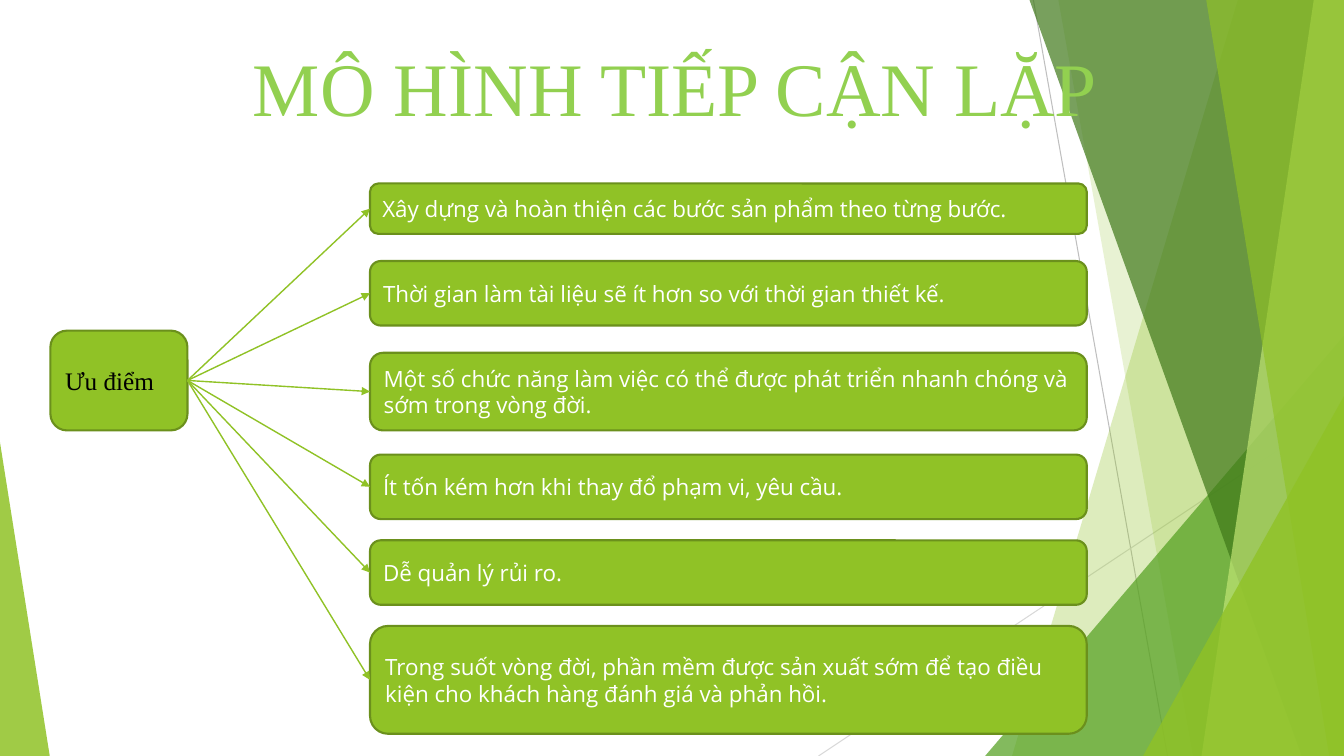
from lxml import etree
from pptx import Presentation
from pptx.dml.color import RGBColor
from pptx.enum.shapes import MSO_CONNECTOR, MSO_SHAPE
from pptx.enum.text import MSO_ANCHOR, PP_ALIGN
from pptx.oxml.ns import qn
from pptx.util import Inches, Pt

GREEN = RGBColor(0x90, 0xC2, 0x26)
EDGE_GREEN = RGBColor(0x6B, 0x90, 0x1C)
TITLE_GREEN = RGBColor(0x92, 0xD0, 0x50)
LEAF_GREEN = RGBColor(0x54, 0xA0, 0x21)
DARK_GREEN = RGBColor(0x3F, 0x78, 0x19)
PALE_GREEN = RGBColor(0xC0, 0xE4, 0x74)
GRAY = RGBColor(0xBF, 0xBF, 0xBF)
LIGHT_GRAY = RGBColor(0xD9, 0xD9, 0xD9)
WHITE = RGBColor(0xFF, 0xFF, 0xFF)
BLACK = RGBColor(0, 0, 0)

prs = Presentation()
prs.slide_width, prs.slide_height = Inches(13.33), Inches(7.5)
slide = prs.slides.add_slide(prs.slide_layouts[6])
shapes = slide.shapes
COL, ROW = prs.slide_width / 100, prs.slide_height / 100


def add_line(x1, y1, x2, y2, color, width):
    line = shapes.add_connector(MSO_CONNECTOR.STRAIGHT, int(x1 * COL), int(y1 * ROW),
                                int(x2 * COL), int(y2 * ROW))
    line.line.color.rgb = color
    line.line.width = Pt(width)
    etree.SubElement(line._element.spPr, qn("a:effectLst"))
    return line


def add_preset(preset, left, top, width, height, color):
    shape = shapes.add_shape(preset, int(left * COL), int(top * ROW),
                             int(width * COL), int(height * ROW))
    shape.shadow.inherit = False
    shape.fill.solid()
    shape.fill.fore_color.rgb = color
    return shape


add_line(76.89, 0, 86.87, 100, GRAY, 0.75)
add_line(100, 53.73, 60.9, 100, LIGHT_GRAY, 0.75)

facets = [
    ("band", 92.1, 75.3, GREEN, 30),
    ("band", 78.75, 88.75, GREEN, 20),
    ("right wedge", 73.3, 44.4, LEAF_GREEN, 72),
    ("band", 76.6, 96.85, DARK_GREEN, 70),
    ("band", 97.75, 89.4, PALE_GREEN, 70),
    ("band", 89.75, 98.9, GREEN, 65),
    ("right wedge", 85.05, 52.4, GREEN, 80),
    ("left wedge", 3.7, 58.53, GREEN, 85),
]
for kind, a, b, color, opacity in facets:
    if kind == "band":
        outline = shapes.build_freeform(int(a * COL), 0)
        outline.add_line_segments([(int(x * COL), int(y * ROW))
                                   for x, y in ((100, 0), (100, 100), (b, 100))])
        facet = outline.convert_to_shape()
        facet.shadow.inherit = False
        facet.fill.solid()
        facet.fill.fore_color.rgb = color
    else:
        on_right = kind == "right wedge"
        left, width = (a, 100 - a) if on_right else (0, a)
        facet = add_preset(MSO_SHAPE.ISOSCELES_TRIANGLE, left, b, width, 100 - b, color)
        facet.adjustments[0] = 1 if on_right else 0
    facet.line.fill.background()
    fill_color = facet._element.spPr.find(qn("a:solidFill"))[0]
    etree.SubElement(fill_color, qn("a:alpha"), val=str(opacity * 1000))

title = shapes.add_textbox(int(18.08 * COL), int(4.8 * ROW), int(75 * COL), int(14.27 * ROW))
title.text_frame.word_wrap = True
title_run = title.text_frame.paragraphs[0].add_run()
title_run.text = "MÔ HÌNH TIẾP CẬN LẶP"
title_run.font.size = Pt(54)
title_run.font.name = "Times New Roman"
title_run.font.color.rgb = TITLE_GREEN

BENEFIT_LEFT, BENEFIT_WIDTH = 27.53, 53.33
benefits = [
    (24.27, 6.67, "Xây dựng và hoàn thiện các bước sản phẩm theo từng bước."),
    (34.53, 8.53, "Thời gian làm tài liệu sẽ ít hơn so với thời gian thiết kế."),
    (46.67, 10.27, "Một số chức năng làm việc có thể được phát triển nhanh chóng và sớm trong vòng đời."),
    (60.13, 8.53, "Ít tốn kém hơn khi thay đổ phạm vi, yêu cầu."),
    (71.47, 8.53, "Dễ quản lý rủi ro."),
    (82.8, 14.27, "Trong suốt vòng đời, phần mềm được sản xuất sớm để tạo điều kiện cho khách hàng đánh giá và phản hồi."),
]
boxes = [(BENEFIT_LEFT, top, BENEFIT_WIDTH, height, text, "Open Sans", 16, WHITE)
         for top, height, text in benefits]
boxes.append((3.75, 43.73, 10.2, 13.2, "Ưu điểm", "Times New Roman", 18, BLACK))

nodes = []
for left, top, width, height, text, font, size, color in boxes:
    node = add_preset(MSO_SHAPE.ROUNDED_RECTANGLE, left, top, width, height, GREEN)
    node.line.color.rgb = EDGE_GREEN
    node.line.width = Pt(1.5)
    node.text_frame.word_wrap = True
    node.text_frame.vertical_anchor = MSO_ANCHOR.MIDDLE
    paragraph = node.text_frame.paragraphs[0]
    paragraph.alignment = PP_ALIGN.LEFT
    run = paragraph.add_run()
    run.text = text
    run.font.name = font
    run.font.size = Pt(size)
    run.font.color.rgb = color
    nodes.append(node)

LEFT_SITE, RIGHT_SITE = 1, 3
*benefit_nodes, advantages = nodes
for benefit in benefit_nodes:
    arrow = add_line(0, 0, 1, 1, GREEN, 1)
    arrow.begin_connect(advantages, RIGHT_SITE)
    arrow.end_connect(benefit, LEFT_SITE)
    etree.SubElement(arrow.line._get_or_add_ln(), qn("a:tailEnd"), type="triangle")

prs.save("out.pptx")
